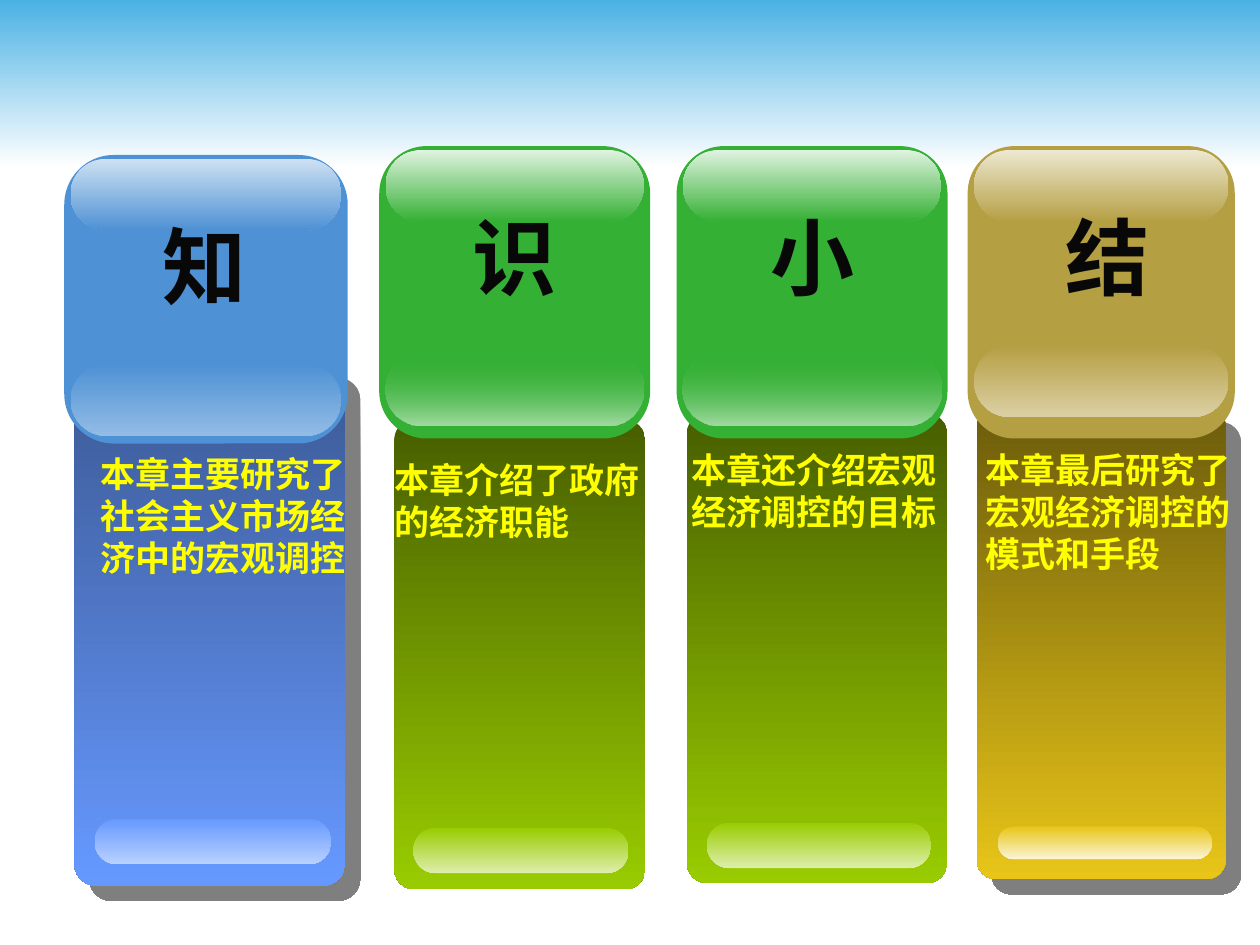
from typing import NamedTuple

from lxml.etree import SubElement as Sub
from pptx import Presentation
from pptx.dml.color import RGBColor as Rgb
from pptx.enum.shapes import MSO_SHAPE as Kind
from pptx.enum.text import PP_ALIGN as Align
from pptx.oxml.ns import qn
from pptx.util import Inches, Pt

COLS, ROWS = 100, 75
YELLOW, BLACK, WHITE = Rgb(255, 255, 0), Rgb(8, 8, 8), Rgb(255, 255, 255)
SKY = Rgb(0x4A, 0xB1, 0xE4)

prs = Presentation()
prs.slide_width, prs.slide_height = Inches(10), Inches(7.5)
slide = prs.slides.add_slide(prs.slide_layouts[6])


class Box(NamedTuple):
    """A place in columns and rows of the slide grid."""
    x: float
    y: float
    w: float
    h: float

    def emu(self) -> list[int]:
        wide, high = prs.slide_width / COLS, prs.slide_height / ROWS
        return [round(v * s) for v, s in zip(self, (wide, high) * 2)]


class Tint(NamedTuple):
    head: Rgb
    lit: Rgb    # top shine of the head
    glow: Rgb   # bottom shine of the head
    dark: Rgb   # top of the card
    base: Rgb   # bottom of the card
    foot: Rgb   # shine of the card
    shade: bool = False
    clear: bool = False


class Part(NamedTuple):
    word: str
    note: str
    tint: Tint
    head: Box
    card: Box
    foot: Box
    text: Box
    mid: float   # centre of the word
    glow: float  # top of the bottom shine


def tint(*codes: str, **flags: bool) -> Tint:
    return Tint(*map(Rgb.from_string, codes), **flags)


BLUE = tint("4E91D4", "CEE1F3", "93BCE5", "3B5893", "6699FF", "B9D1FF", shade=True)
GREEN = tint("34B034", "E0F3E0", "A3DBA3", "475E00", "99CC00", "DDEEAA", clear=True)
GOLD = tint("B59F43", "EDE8D1", "DBD0A4", "6B5B0B", "E8C518", "FBF5D5", shade=True)

PARTS = [
    Part("知", "本章主要研究了社会主义市场经济中的宏观调控", BLUE,
         Box(5.1, 12.3, 22.5, 22.9), Box(5.9, 28.8, 21.5, 41.5),
         Box(7.5, 65, 18.8, 3.6), Box(7, 35.4, 22.8, 16.1), 16.2, 28.9),
    Part("识", "本章介绍了政府的经济职能", GREEN,
         Box(30.1, 11.6, 21.5, 23.2), Box(31.3, 33.3, 19.9, 37.3),
         Box(32.8, 65.7, 17.1, 3.6), Box(30.3, 35.9, 22.8, 7.7), 40.8, 28.1),
    Part("小", "本章还介绍宏观经济调控的目标", GREEN,
         Box(53.7, 11.6, 21.5, 23.2), Box(54.5, 32.8, 20.7, 37.3),
         Box(56.1, 65.3, 17.8, 3.6), Box(53.9, 35.1, 22.8, 7.7), 64.5, 28.1),
    Part("结", "本章最后研究了宏观经济调控的模式和手段", GOLD,
         Box(76.8, 11.6, 21.2, 23.2), Box(77.5, 32.3, 19.8, 37.5),
         Box(79.2, 65.6, 17, 2.6), Box(77.2, 35.1, 22.8, 11), 87.9, 27.4),
]


def block(box: Box, top: Rgb, end: Rgb | None = None, turn: float = 0,
          clear: bool = False, shade: bool = False) -> None:
    """Draw a box, round by turn, in one colour or fading down to end."""
    shape = slide.shapes.add_shape(
        Kind.ROUNDED_RECTANGLE if turn else Kind.RECTANGLE, *box.emu())
    shape.shadow.inherit = False
    shape.line.fill.background()
    if turn:
        shape.adjustments[0] = turn
    if end is None:
        shape.fill.solid()
        shape.fill.fore_color.rgb = top
    else:
        shape.fill.gradient()
        shape.fill.gradient_angle = 270
        for stop, hue in zip(shape.fill.gradient_stops, (top, end)):
            stop.color.rgb = hue
    props = shape._element.spPr
    if clear:
        Sub(next(props.iter(qn("a:srgbClr"))), qn("a:alpha"), val="0")
    if shade:
        cast = Sub(props.find(qn("a:effectLst")), qn("a:outerShdw"), blurRad="0",
                   dist=str(Pt(12.1)), dir="2700000", algn="ctr", rotWithShape="0")
        Sub(Sub(cast, qn("a:srgbClr"), val="000000"), qn("a:alpha"), val="50000")


def write(text: str, box: Box, *, size: float, hue: Rgb,
          align: Align = Align.LEFT, wrap: bool = True) -> None:
    frame = slide.shapes.add_textbox(*box.emu()).text_frame
    frame.word_wrap = wrap
    para = frame.paragraphs[0]
    para.alignment = align
    run = para.add_run()
    run.text = text
    font = run.font
    font.name, font.size, font.bold = "Arial", Pt(size), True
    font.color.rgb = hue


def draw(part: Part) -> None:
    hue, head = part.tint, part.head
    block(part.card, hue.dark, hue.base, turn=0.08, shade=hue.shade)
    block(part.foot, hue.base, hue.foot, turn=0.5)
    block(head, hue.head, turn=0.175)
    shine = Box(head.x + 0.5, head.y + 0.3, head.w - 1, 5.7)
    block(shine._replace(y=part.glow), hue.head, hue.glow, turn=0.5, clear=hue.clear)
    block(shine, hue.lit, hue.head, turn=0.5)
    write(part.word, Box(part.mid - 4.3, head.y + 4.2, 8.6, 9),
          size=48, hue=BLACK, align=Align.CENTER, wrap=False)
    write(part.note, part.text, size=20, hue=YELLOW)


block(Box(0, 0, COLS, 13.3), SKY, WHITE)
for part in PARTS:
    draw(part)
prs.save("out.pptx")
